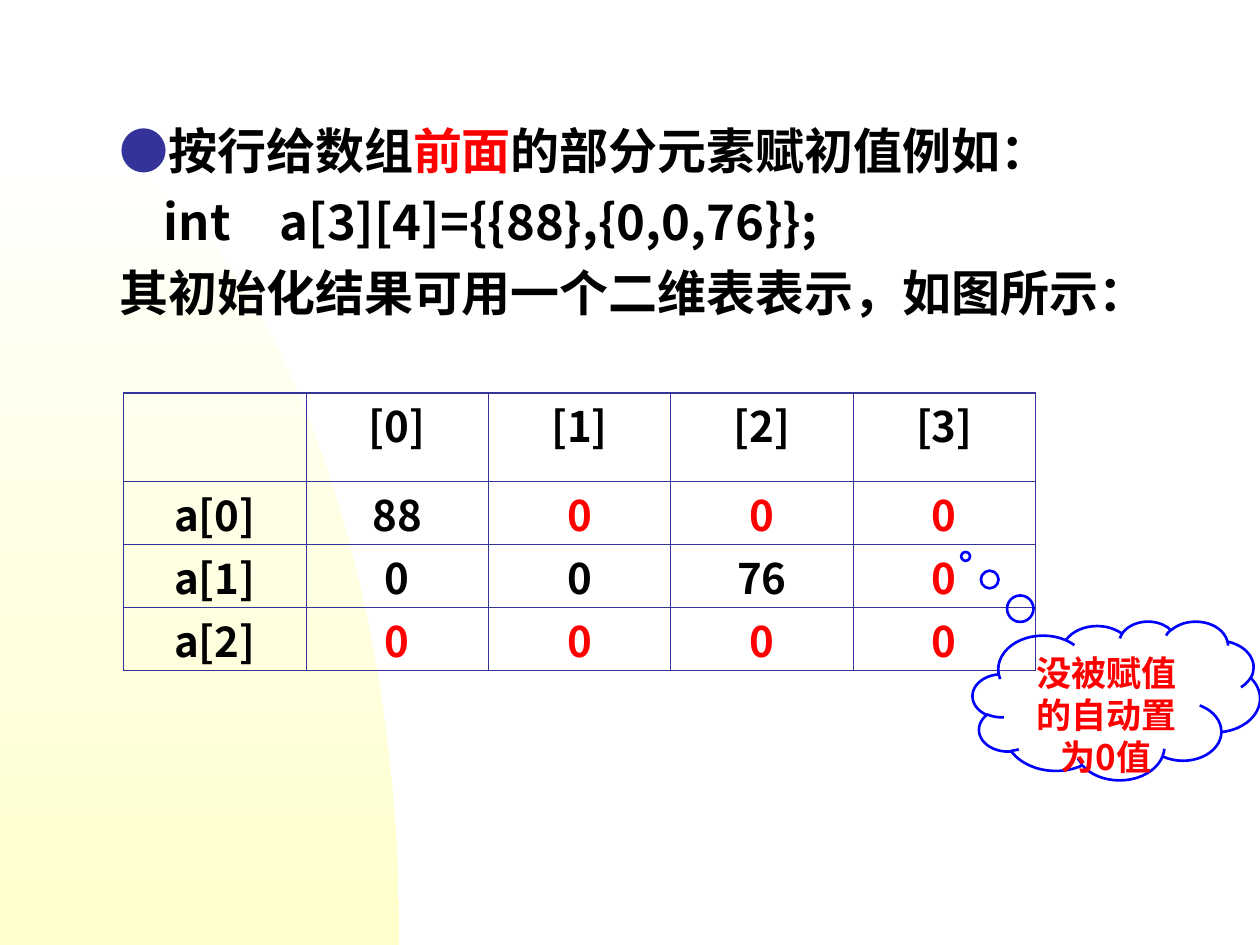
from math import cos, pi, sin

from lxml import etree
from pptx import Presentation
from pptx.dml.color import RGBColor
from pptx.enum.shapes import MSO_SHAPE
from pptx.enum.text import MSO_ANCHOR, PP_ALIGN
from pptx.oxml.ns import qn
from pptx.util import Inches, Pt

CLOUD = MSO_SHAPE.CLOUD_CALLOUT
TOP, CENTER = MSO_ANCHOR.TOP, PP_ALIGN.CENTER
BLACK, RED, NAVY, BLUE = "010000", "FF0000", "333399", "0000FF"
CJK, LATIN = "Noto Sans CJK SC", "Arial"


def color(value):
    return RGBColor.from_string(value)


def add_run(paragraph, text, size, ink=BLACK, name=CJK):
    run = paragraph.add_run()
    run.text = text
    font = run.font
    font.size, font.bold, font.name = Pt(size), True, name
    font.color.rgb = color(ink)
    etree.SubElement(font._element, qn("a:ea")).set("typeface", CJK)


def add_backdrop(slide, left, top, width, height):
    """Quarter ellipse whose centre is the lower left corner of its box."""
    steps = 60
    angles = [pi / 2 * step / steps for step in range(steps + 1)]
    points = [(Inches(left + width * sin(angle)),
               Inches(top + height * (1 - cos(angle)))) for angle in angles]
    points.append((Inches(left), Inches(top + height)))
    builder = slide.shapes.build_freeform(*points[0])
    builder.add_line_segments(points[1:], close=True)
    shape = builder.convert_to_shape()
    shape.shadow.inherit = False
    shape.line.fill.background()
    shape.fill.gradient()
    shape.fill.gradient_angle = 270
    for stop, position, shade in zip(shape.fill.gradient_stops, (0, 1), ("FFFFFF", "FFFFCC")):
        stop.position = position
        stop.color.rgb = color(shade)


def add_explanation(slide, left, top, width, height):
    box = slide.shapes.add_textbox(Inches(left), Inches(top), Inches(width), Inches(height))
    frame = box.text_frame
    frame.word_wrap = True
    lines = [
        [("●", NAVY, LATIN), ("按行给数组", BLACK, CJK), ("前面", RED, LATIN),
         ("的部分元素赋初值例如：", BLACK, CJK)],
        [("    int　a[3][4]={{88},{0,0,76}};", BLACK, CJK)],
        [("其初始化结果可用一个二维表表示，如图所示：", BLACK, CJK)],
    ]
    for index, runs in enumerate(lines):
        paragraph = frame.add_paragraph() if index else frame.paragraphs[0]
        paragraph._p.get_or_add_pPr().set("marL", str(Inches(0.5)))
        paragraph.line_spacing = Pt(33.6)
        if index:
            paragraph.space_before = Pt(7)
        for text, ink, name in runs:
            add_run(paragraph, text, 28, ink, name)


def set_borders(cell, widths):
    """Draw the left, right, top and bottom borders; None leaves one out."""
    properties = cell._tc.get_or_add_tcPr()
    for index, (side, width) in enumerate(zip(("lnL", "lnR", "lnT", "lnB"), widths)):
        line = etree.Element(qn("a:" + side))
        if width is None:
            etree.SubElement(line, qn("a:noFill"))
        else:
            line.set("w", str(Pt(width)))
            fill = etree.SubElement(line, qn("a:solidFill"))
            etree.SubElement(fill, qn("a:srgbClr")).set("val", NAVY)
        properties.insert(index, line)


def add_array_table(slide, left, top, width, height):
    thin, thick = 0.45, 1.08
    values = [
        ["", "[0]", "[1]", "[2]", "[3]"],
        ["a[0]", "88", "0", "0", "0"],
        ["a[1]", "0", "0", "76", "0"],
        ["a[2]", "0", "0", "0", "0"],
        [""] * 5,
    ]
    unassigned = {(1, 2), (1, 3), (1, 4), (2, 4), (3, 1), (3, 2), (3, 3), (3, 4)}
    last = len(values) - 1
    table = slide.shapes.add_table(len(values), 5, Inches(left), Inches(top),
                                   Inches(width), Inches(height)).table
    table.first_row = table.horz_banding = False
    for column in table.columns:
        column.width = Inches(width / 5)
    for row, row_height in zip(table.rows, (0.7, 0.5, 0.5, 0.5, 0.3)):
        row.height = Inches(row_height)
    for row, texts in enumerate(values):
        for column, text in enumerate(texts):
            cell = table.cell(row, column)
            cell.fill.background()
            cell.vertical_anchor = TOP
            cell.margin_top, cell.margin_bottom = Inches(0.09), Inches(0)
            paragraph = cell.text_frame.paragraphs[0]
            paragraph.alignment = CENTER
            if text:
                paragraph.line_spacing = Pt(29)
                add_run(paragraph, text, 24, RED if (row, column) in unassigned else BLACK)
            else:
                paragraph.font.size = Pt(12)
            if row == last:
                set_borders(cell, (None, None, thin, None))
            else:
                set_borders(cell, (thick if column == 0 else thin,
                                   thick if column == 4 else thin,
                                   thick if row == 0 else thin, thin))


def add_callout(slide, left, top, width, height):
    shape = slide.shapes.add_shape(CLOUD, Inches(left), Inches(top),
                                   Inches(width), Inches(height))
    shape.shadow.inherit = False
    shape.adjustments[0], shape.adjustments[1] = -0.525, -0.908
    shape.fill.background()
    shape.line.color.rgb = color(BLUE)
    shape.line.width = Pt(1.5)
    frame = shape.text_frame
    frame.word_wrap = True
    frame.vertical_anchor = TOP
    paragraph = frame.paragraphs[0]
    paragraph.alignment = CENTER
    paragraph.line_spacing = Pt(24)
    add_run(paragraph, "没被赋值的自动置为0值", 20, RED)


def main():
    presentation = Presentation()
    presentation.slide_width, presentation.slide_height = Inches(10), Inches(7.5)
    slide = presentation.slides.add_slide(presentation.slide_layouts[6])
    slide.background.fill.solid()
    slide.background.fill.fore_color.rgb = color("FFFFFF")

    add_backdrop(slide, 0, 0.92, 3.17, 6.58)
    add_explanation(slide, 0.35, 0.91, 9.29, 1.7)
    add_array_table(slide, 0.98, 3.12, 7.24, 2.5)
    add_callout(slide, 7.72, 4.93, 2.28, 1.26)
    presentation.save("out.pptx")


if __name__ == "__main__":
    main()
